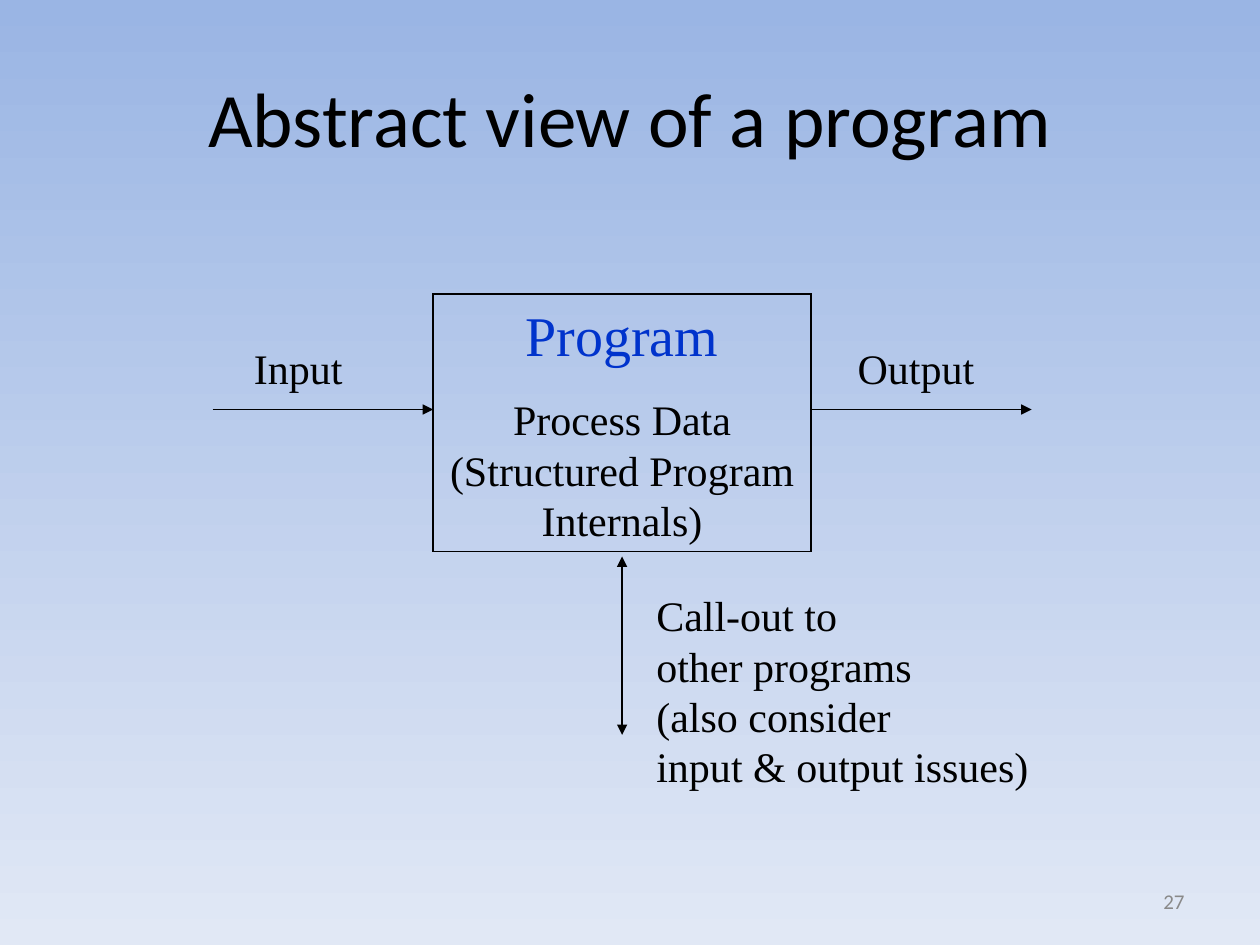
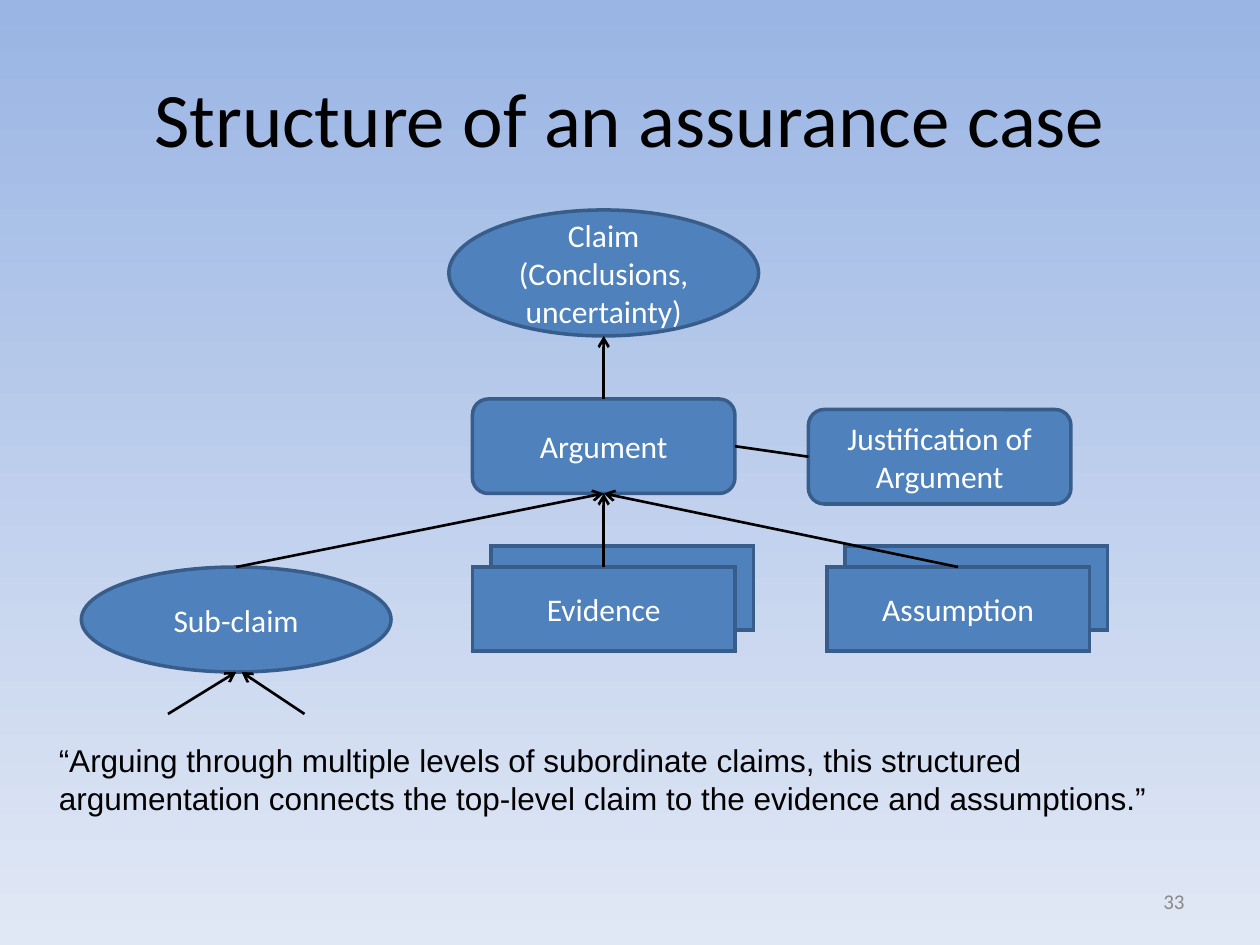
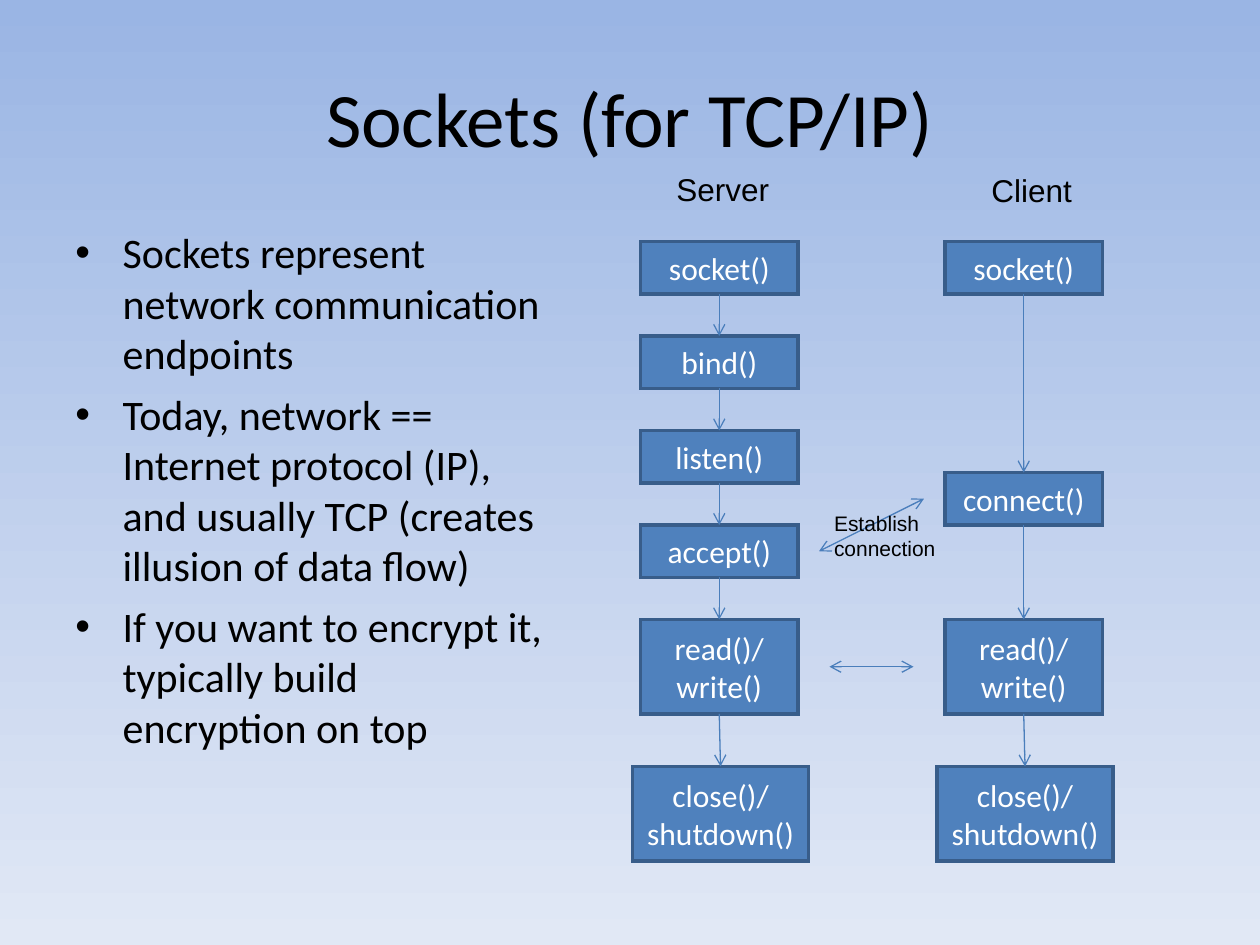
"""Build three slides on program structure, assurance cases and sockets."""
from lxml import etree
from pptx import Presentation
from pptx import util as u
from pptx.dml.color import RGBColor
from pptx.enum import shapes, text
from pptx.oxml import ns

COLOURS = {
    "sky": "9AB5E4", "haze": "E1E8F5", "ink": "000000", "number": "898989",
    "program": "0033CC", "fill": "4F81BD", "edge": "385D8A", "flow": "4A7EBB", "white": "FFFFFF",
}
SANS, SERIF, PLAIN = "Calibri", "Times New Roman", "Arial"
KINDS = shapes.MSO_SHAPE
CENTER, RIGHT = text.PP_ALIGN.CENTER, text.PP_ALIGN.RIGHT
TOP, MIDDLE = text.MSO_ANCHOR.TOP, text.MSO_ANCHOR.MIDDLE
UP, LEFT, DOWN, EAST = range(4)

PROGRAM_BOX = (247.5, 168, 216, 147)
PROGRAM_LABELS = [
    (["Input"], (138, 192, 65, 36)),
    (["Output"], (483, 192, 81, 36)),
    (["Call-out to", "other programs", "(also consider", "input & output issues)"],
     (368, 333.5, 227, 122)),
]
PROGRAM_ARROWS = [
    ((121.5, 234), (247.5, 234), False),
    ((463.5, 234), (589.5, 234), False),
    ((355.5, 318), (355.5, 420), True),
]

CASE_NODES = {
    "claim": (KINDS.OVAL, ["Claim", "(Conclusions, uncertainty)"], (256.5, 120, 177, 72)),
    "argument": (KINDS.ROUNDED_RECTANGLE, ["Argument"], (270, 228, 150, 54)),
    "justification": (KINDS.ROUNDED_RECTANGLE, ["Justification of", "Argument"], (462, 234, 150, 54)),
    "evidence": (KINDS.RECTANGLE, ["Evidence"], (270, 324, 150, 48)),
    "assumption": (KINDS.RECTANGLE, ["Assumption"], (472.5, 324, 150, 48)),
    "sub-claim": (KINDS.OVAL, ["Sub-claim"], (46.5, 324, 177, 60)),
}
STACKED = ("evidence", "assumption")
STACK_SHIFT = (10.5, -12)
SUPPORTS = ("sub-claim", "evidence", "assumption")
SUB_CLAIM_ARROWS = [((96, 408), (135, 384)), ((174, 408), (138, 384))]
QUOTE = ("“Arguing through multiple levels of subordinate claims, this structured "
         "argumentation connects the top-level claim to the evidence and assumptions.”")

SOCKET_POINTS = [
    "Sockets represent network communication endpoints",
    "Today, network == Internet protocol (IP), and usually TCP (creates illusion of data flow)",
    "If you want to encrypt it, typically build encryption on top",
]
SHARED_CALLS = [(["read()/", "write()"], 354), (["close()/", "shutdown()"], 438)]
SOCKET_COLUMNS = [
    ("Server", 366, (378, 93.5, 70, 29),
     [(["socket()"], 138), (["bind()"], 192), (["listen()"], 246), (["accept()"], 300)]),
    ("Client", 540, (558, 94, 63, 29), [(["socket()"], 138), (["connect()"], 270)]),
]
CALL_WIDTH, CLOSE_WIDTH = 90, 100.5
CALL_HEIGHTS = {1: 30, 2: 54}
EXCHANGES = [((474, 381), (522, 381)), ((468, 315), (528, 285))]


def points(values):
    return [u.Pt(value) for value in values]


def colour(name):
    return RGBColor.from_string(COLOURS[name])


def write(box, lines, size=18, font=SANS, ink="ink", align=None, anchor=TOP,
          wrap=True, before=0, bullet=None):
    frame = box.text_frame
    frame.word_wrap = wrap
    if not wrap:
        frame.auto_size = text.MSO_AUTO_SIZE.SHAPE_TO_FIT_TEXT
    frame.vertical_anchor = anchor
    for line in lines:
        first = not frame.text
        para = frame.paragraphs[0] if first else frame.add_paragraph()
        para.text = line
        para.alignment = align
        if before and not first:
            para.space_before = u.Pt(before)
        if bullet:
            layout = para._p.get_or_add_pPr()
            layout.set("marL", str(u.Pt(27)))
            layout.set("indent", str(u.Pt(-27)))
            etree.SubElement(layout, ns.qn("a:buFont")).set("typeface", PLAIN)
            etree.SubElement(layout, ns.qn("a:buChar")).set("char", bullet)
        for span in para.runs:
            span.font.size = u.Pt(size)
            span.font.name = font
            span.font.color.rgb = colour(ink)


def add_label(page, lines, place, **style):
    write(page.shapes.add_textbox(*points(place)), lines, **style)


def add_box(page, kind, place, fill="fill", edge="edge", weight=2):
    box = page.shapes.add_shape(kind, *points(place))
    box.shadow.inherit = False
    if fill:
        box.fill.solid()
        box.fill.fore_color.rgb = colour(fill)
    else:
        box.fill.background()
    box.line.color.rgb = colour(edge)
    box.line.width = u.Pt(weight)
    etree.SubElement(box.line._get_or_add_ln(), ns.qn("a:miter")).set("lim", "800000")
    return box


def add_node(page, kind, lines, place):
    box = add_box(page, kind, place)
    write(box, lines, ink="white", align=CENTER, anchor=MIDDLE)
    return box


def add_line(page, start=(0, 0), end=(0, 0), ink="ink", weight=0.75, head=None, tail="arrow",
             source=None, target=None):
    line = page.shapes.add_connector(shapes.MSO_CONNECTOR.STRAIGHT, *points(start + end))
    if source:
        line.begin_connect(*source)
    if target:
        line.end_connect(*target)
    line.line.color.rgb = colour(ink)
    line.line.width = u.Pt(weight)
    stroke = line.line._get_or_add_ln()
    for tag, kind in (("a:headEnd", head), ("a:tailEnd", tail)):
        if kind:
            etree.SubElement(stroke, ns.qn(tag)).set("type", kind)
    etree.SubElement(line._element.spPr, ns.qn("a:effectLst"))


def add_page(deck, title, number=None):
    page = deck.slides.add_slide(deck.slide_layouts[6])
    fill = page.background.fill
    fill.gradient()
    fill.gradient_angle = 270
    for stop, name in zip(fill.gradient_stops, ("sky", "haze")):
        stop.color.rgb = colour(name)
    add_label(page, [title], (36, 21.5, 648, 90), size=44, align=CENTER, anchor=MIDDLE)
    if number:
        add_label(page, [number], (516, 500.5, 168, 29), size=12, ink="number",
                  align=RIGHT, anchor=MIDDLE)
    return page


def build_program(deck):
    page = add_page(deck, "Abstract view of a program", "27")
    box = add_box(page, KINDS.RECTANGLE, PROGRAM_BOX, fill=None, edge="ink", weight=0.75)
    write(box, ["Program"], size=32, font=SERIF, ink="program", align=CENTER)
    write(box, ["Process Data\v(Structured Program Internals)"], size=24, font=SERIF,
          align=CENTER, before=15)
    for start, end, both in PROGRAM_ARROWS:
        add_line(page, start, end, head="triangle" if both else None, tail="triangle")
    for lines, place in PROGRAM_LABELS:
        add_label(page, lines, place, size=24, font=SERIF, wrap=False)


def build_case(deck):
    page = add_page(deck, "Structure of an assurance case", "33")
    add_label(page, [QUOTE], (26.5, 420, 657.5, 72), font=PLAIN)
    nodes = {}
    for name, (kind, lines, place) in CASE_NODES.items():
        if name in STACKED:
            left, top, width, height = place
            add_box(page, kind, (left + STACK_SHIFT[0], top + STACK_SHIFT[1], width, height))
        nodes[name] = add_node(page, kind, lines, place)
    argument = nodes["argument"]
    add_line(page, weight=1.5, tail=None, source=(argument, EAST),
             target=(nodes["justification"], LEFT))
    for name in SUPPORTS:
        add_line(page, weight=1.5, source=(nodes[name], UP), target=(argument, DOWN))
    for start, end in SUB_CLAIM_ARROWS:
        add_line(page, start, end, weight=1.5)
    add_line(page, (345, 228), (345, 192), weight=1.5, source=(argument, UP))


def build_sockets(deck):
    page = add_page(deck, "Sockets (for TCP/IP)")
    add_label(page, SOCKET_POINTS, (36, 126, 282, 356.5), size=24, before=6, bullet="•")
    for heading, left, place, calls in SOCKET_COLUMNS:
        add_label(page, [heading], place, font=PLAIN, align=CENTER, wrap=False)
        steps = []
        for lines, top in calls + SHARED_CALLS:
            closing = lines == SHARED_CALLS[-1][0]
            width = CLOSE_WIDTH if closing else CALL_WIDTH
            start = left - 4.5 if closing else left
            spot = (start, top, width, CALL_HEIGHTS[len(lines)])
            steps.append(add_node(page, KINDS.RECTANGLE, lines, spot))
        for above, below in zip(steps, steps[1:]):
            add_line(page, ink="flow", source=(above, DOWN), target=(below, UP))
    for start, end in EXCHANGES:
        add_line(page, start, end, ink="flow", head="arrow")
    add_label(page, ["Establish", "connection"], (469.5, 288, 76, 36), size=12, font=PLAIN,
              wrap=False)


def main():
    deck = Presentation()
    deck.slide_width, deck.slide_height = points((720, 540))
    for build in (build_program, build_case, build_sockets):
        build(deck)
    deck.save("out.pptx")


if __name__ == "__main__":
    main()
